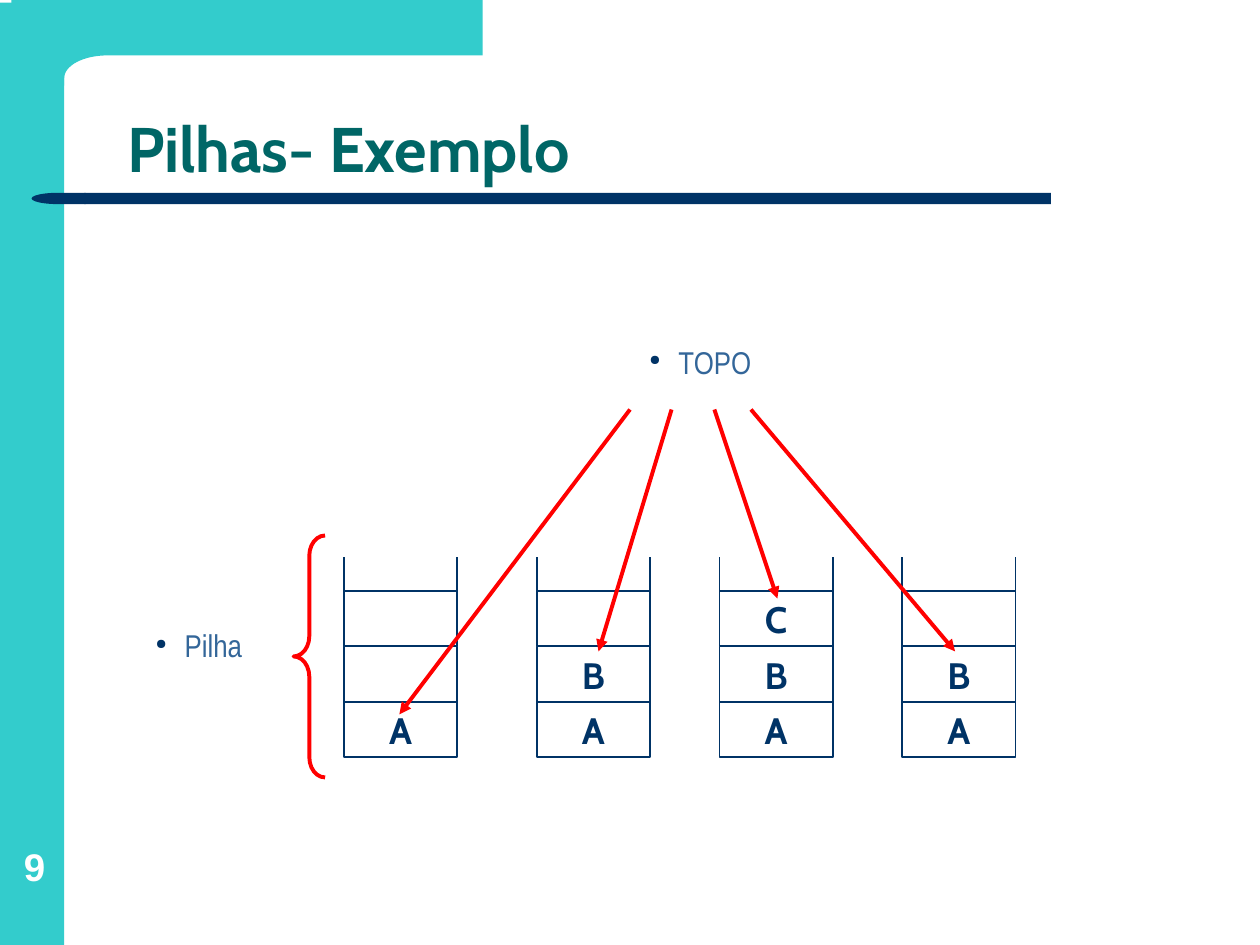
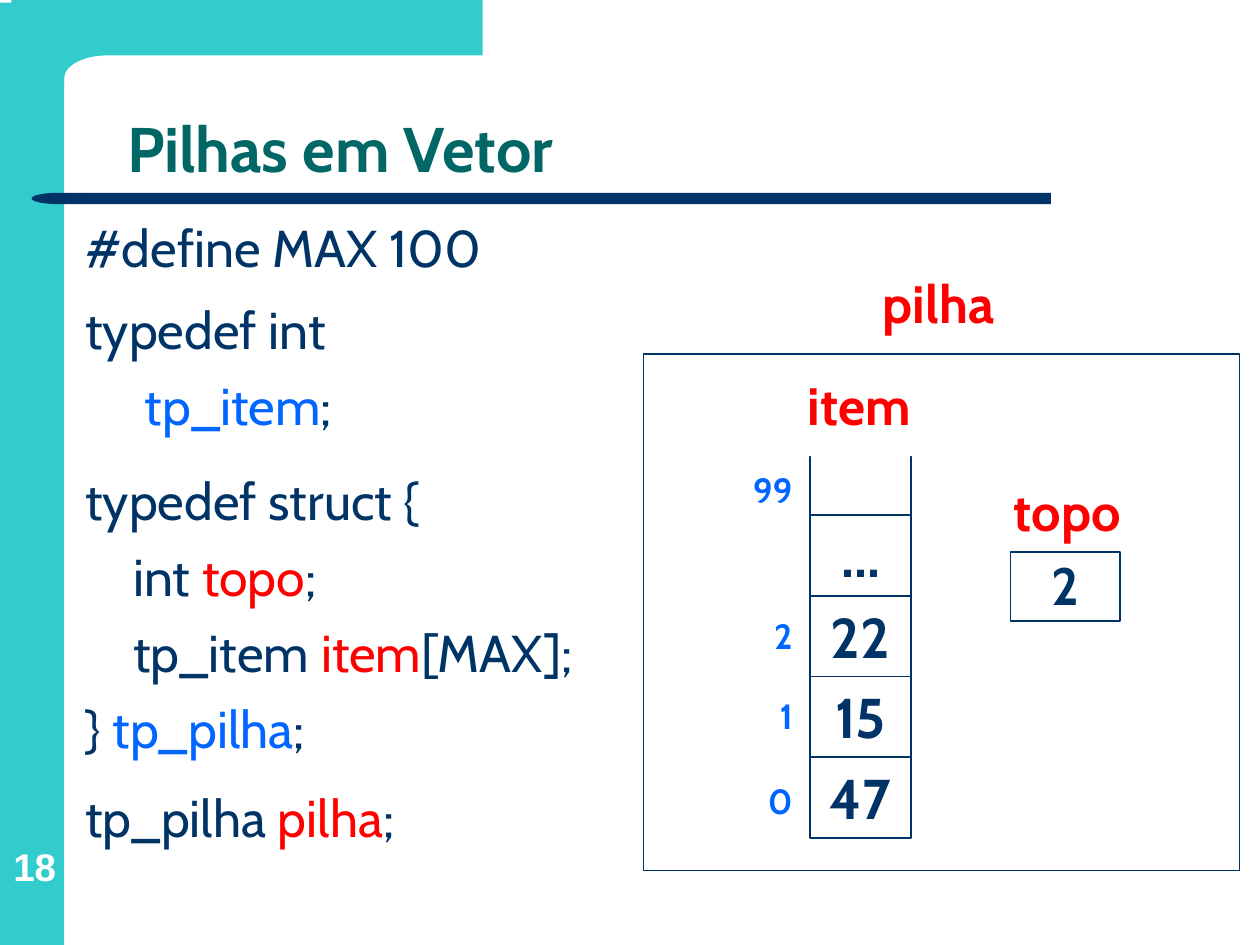
import math

import pptx
import pptx.util
from pptx.dml.color import RGBColor
from pptx.enum.shapes import MSO_CONNECTOR, MSO_SHAPE
from pptx.enum.text import MSO_ANCHOR, PP_ALIGN
from pptx.oxml.ns import qn
from lxml import etree

Inches = pptx.util.Inches
Pt = pptx.util.Pt

COLORS = {
    "band": "33CCCC", "navy": "003366", "title": "006666", "white": "FFFFFF",
    "label": "336699", "red": "FF0000", "blue": "0066FF",
}

# Text formats: font, size, bold, colour
FORMATS = {
    "title": ("Cabin", 36, True, "title"),
    "number": ("Arial", 22, True, "white"),
    "stack": ("Cabin", 21, True, "navy"),
    "bullet": ("Arial Narrow", 18, False, "label"),
    "code": ("Cabin", 29.6, False, "navy"),
    "name": ("Cabin", 30, True, "red"),
    "index": ("Cabin", 20, True, "blue"),
    "item": ("Cabin", 32, True, "navy"),
    "top": ("Cabin", 30, True, "navy"),
}

# Example slide: each stack is (left, items from the bottom up)
STACKS = [(2.73, "A"), (4.26, "AB"), (5.71, "ABC"), (7.16, "AB")]
STACK_TOP, STACK_LEVELS = 4.25, 4
STACK_CELL = (0.9, 0.44)
BULLETS = [("TOPO", 5.04, 2.67), ("Pilha", 1.0, 4.92)]
ARROW_START_Y = 3.25
TOP_ARROWS = [  # start x, end x, end y
    (5, 3.17, 5.67), (5.96, 7.58, 5.17), (5.67, 6.17, 4.75), (5.33, 4.75, 5.17),
]

# Array slide: each line is (indent, line spacing, [(text, colour), ...])
CODE = [
    (0, 1, [("#define MAX 100", "navy")]),
    (0, 1.1, [("typedef int", "navy")]),
    (0.47, 1, [("tp_item", "blue"), (";", "navy")]),
    (0, 1.3, [("typedef struct {", "navy")]),
    (0.38, 1, [("int ", "navy"), ("topo", "red"), (";", "navy")]),
    (0.38, 1, [("tp_item ", "navy"), ("item", "red"), ("[MAX];", "navy")]),
    (0, 1, [("} ", "navy"), ("tp_pilha", "blue"), (";", "navy")]),
    (0, 1.2, [("tp_pilha ", "navy"), ("pilha", "red"), (";", "navy")]),
]
NAMES = [("topo", 8.47, 3.75), ("item", 6.82, 2.91), ("pilha", 7.45, 2.1)]  # centre, top
NAME_WIDTH = 1.3
INDEXES = [("0", 6.14), ("1", 5.46), ("2", 4.83), ("99", 3.67)]
ITEMS = ["", "...", "22", "15", "47"]
ITEMS_LEFT, ITEMS_TOP = 6.43, 3.45
ITEM_CELL = (0.8, 0.64)


def rgb(color):
    return RGBColor.from_string(COLORS[color])


def add_run(paragraph, text, style, color=None):
    font_name, size, bold, style_color = FORMATS[style]
    run = paragraph.add_run()
    run.text = text
    for key, value in {"name": font_name, "size": Pt(size), "bold": bold}.items():
        setattr(run.font, key, value)
    run.font.color.rgb = rgb(color or style_color)


def set_frame(shape, margins=(0.1, 0.05), wrap=False, anchor=MSO_ANCHOR.TOP):
    side, end = (Inches(margin) for margin in margins)
    values = {
        "margin_left": side, "margin_right": side,
        "margin_top": end, "margin_bottom": end,
        "word_wrap": wrap, "vertical_anchor": anchor,
    }
    for key, value in values.items():
        setattr(shape.text_frame, key, value)
    return shape.text_frame


def write(shape, text, style, align=PP_ALIGN.CENTER, **frame):
    paragraph = set_frame(shape, **frame).paragraphs[0]
    paragraph.alignment = align
    add_run(paragraph, text, style)
    return paragraph


def add_text(slide, box, text, style, align=PP_ALIGN.CENTER, **frame):
    textbox = slide.shapes.add_textbox(*map(Inches, box))
    return write(textbox, text, style, align, **frame)


def paint(shape, fill=None, line=None, width=1):
    shape.shadow.inherit = False
    if fill:
        shape.fill.solid()
        shape.fill.fore_color.rgb = rgb(fill)
    else:
        shape.fill.background()
    if line:
        shape.line.color.rgb = rgb(line)
        shape.line.width = Pt(width)
    else:
        shape.line.fill.background()
    return shape


def add_shape(slide, box, fill=None, line=None, width=1, kind=MSO_SHAPE.RECTANGLE):
    return paint(slide.shapes.add_shape(kind, *map(Inches, box)), fill, line, width)


def add_top_band(slide):
    """Band along the top whose inner corner follows a quarter ellipse."""
    steps = 16
    angles = [math.pi / 2 * step / steps for step in range(steps + 1)]
    corner = [(0.85 - 0.34 * math.sin(a), 0.62 - 0.18 * math.cos(a)) for a in angles]
    outline = [(3.83, 0), (3.83, 0.44), *corner, (0.51, 0.68), (0.09, 0.68), (0.09, 0)]
    points = [(Inches(x), Inches(y)) for x, y in outline]
    builder = slide.shapes.build_freeform(*points[0], scale=1.0)
    builder.add_line_segments(points[1:], close=True)
    paint(builder.convert_to_shape(), "band")


def add_base_slide(deck, title, number):
    slide = deck.slides.add_slide(deck.slide_layouts[6])
    add_shape(slide, (0, 0.02, 0.51, 7.48), "band")
    add_top_band(slide)
    add_shape(slide, (0.67, 1.53, 7.67, 0.09), "navy")
    rule_end = add_shape(slide, (0.25, 1.53, 0.43, 0.09), "navy",
                         kind=MSO_SHAPE.FLOWCHART_DELAY)
    rule_end.rotation = 180
    bottom = {"wrap": True, "anchor": MSO_ANCHOR.BOTTOM}
    add_text(slide, (0.03, 6.52, 0.49, 0.54), number, "number", margins=(0, 0), **bottom)
    heading = add_text(slide, (0.91, 0.44, 8.51, 1.09), title, "title",
                       PP_ALIGN.LEFT, **bottom)
    heading.line_spacing = 0.9
    return slide


def add_bullet(paragraph, hanging=0.23):
    properties = paragraph._p.get_or_add_pPr()
    properties.set("marL", str(Inches(hanging)))
    properties.set("indent", str(-Inches(hanging)))
    color = etree.SubElement(properties, qn("a:buClr"))
    etree.SubElement(color, qn("a:srgbClr"), val=COLORS["navy"])
    etree.SubElement(properties, qn("a:buSzPct"), val="45000")
    etree.SubElement(properties, qn("a:buChar"), char="●")


def add_arrow(slide, start, end):
    arrow = slide.shapes.add_connector(MSO_CONNECTOR.STRAIGHT, *map(Inches, start + end))
    arrow.line.color.rgb = rgb("red")
    arrow.line.width = Pt(2.25)
    etree.SubElement(arrow.line._get_or_add_ln(), qn("a:tailEnd"), type="triangle")
    etree.SubElement(arrow._element.spPr, qn("a:effectLst"))


def build_example(deck):
    slide = add_base_slide(deck, "Pilhas- Exemplo", "9")
    width, height = STACK_CELL
    for left, items in STACKS:
        for level in range(STACK_LEVELS):
            top = STACK_TOP + (STACK_LEVELS - 1 - level) * height
            cell = add_shape(slide, (left, top, width, height), "white", "navy")
            if level < len(items):
                write(cell, items[level], "stack")
    add_shape(slide, (2.42, 3.99, 5.83, 0.43), "white")  # leaves the stacks open on top

    for text, left, top in BULLETS:
        add_bullet(add_text(slide, (left, top, 1.02, 0.42), text, "bullet",
                            PP_ALIGN.RIGHT))
    brace = add_shape(slide, (2.33, 4.25, 0.25, 1.92), line="red", width=2.25,
                      kind=MSO_SHAPE.LEFT_BRACE)
    brace.adjustments[0] = 0.64
    for start_x, end_x, end_y in TOP_ARROWS:
        add_arrow(slide, (start_x, ARROW_START_Y), (end_x, end_y))


def add_code(slide):
    body = slide.shapes.add_textbox(*map(Inches, (0.58, 1.66, 4.51, 5.8)))
    frame = set_frame(body, wrap=True)
    for row, (indent, spacing, parts) in enumerate(CODE):
        paragraph = frame.add_paragraph() if row else frame.paragraphs[0]
        paragraph._p.get_or_add_pPr().set("marL", str(Inches(indent)))
        paragraph.line_spacing = spacing
        paragraph.space_before = Pt(8 if row else 0)
        for text, color in parts:
            add_run(paragraph, text, "code", color)


def build_array(deck):
    slide = add_base_slide(deck, "Pilhas em Vetor", "18")
    add_shape(slide, (5.11, 2.81, 4.73, 4.1), line="navy", width=0.75)
    top_cell = add_shape(slide, (8.02, 4.38, 0.87, 0.55), line="navy")
    write(top_cell, "2", "top", margins=(0.1, 0.01))
    add_code(slide)
    for text, top in INDEXES:
        add_text(slide, (5.49, top, 0.9, 0.44), text, "index", PP_ALIGN.RIGHT)
    width, height = ITEM_CELL
    for row, text in enumerate(ITEMS):
        cell = add_shape(slide, (ITEMS_LEFT, ITEMS_TOP + row * height, width, height),
                         line="navy")
        if text:
            write(cell, text, "item")
    add_shape(slide, (6.36, 3.38, 0.94, 0.24), "white")  # leaves the array open on top
    for text, center, top in NAMES:
        add_text(slide, (center - NAME_WIDTH / 2, top, NAME_WIDTH, 0.44), text, "name")


def main():
    deck = pptx.Presentation()
    deck.slide_width, deck.slide_height = Inches(10), Inches(7.5)
    build_example(deck)
    build_array(deck)
    deck.save("out.pptx")


if __name__ == "__main__":
    main()
